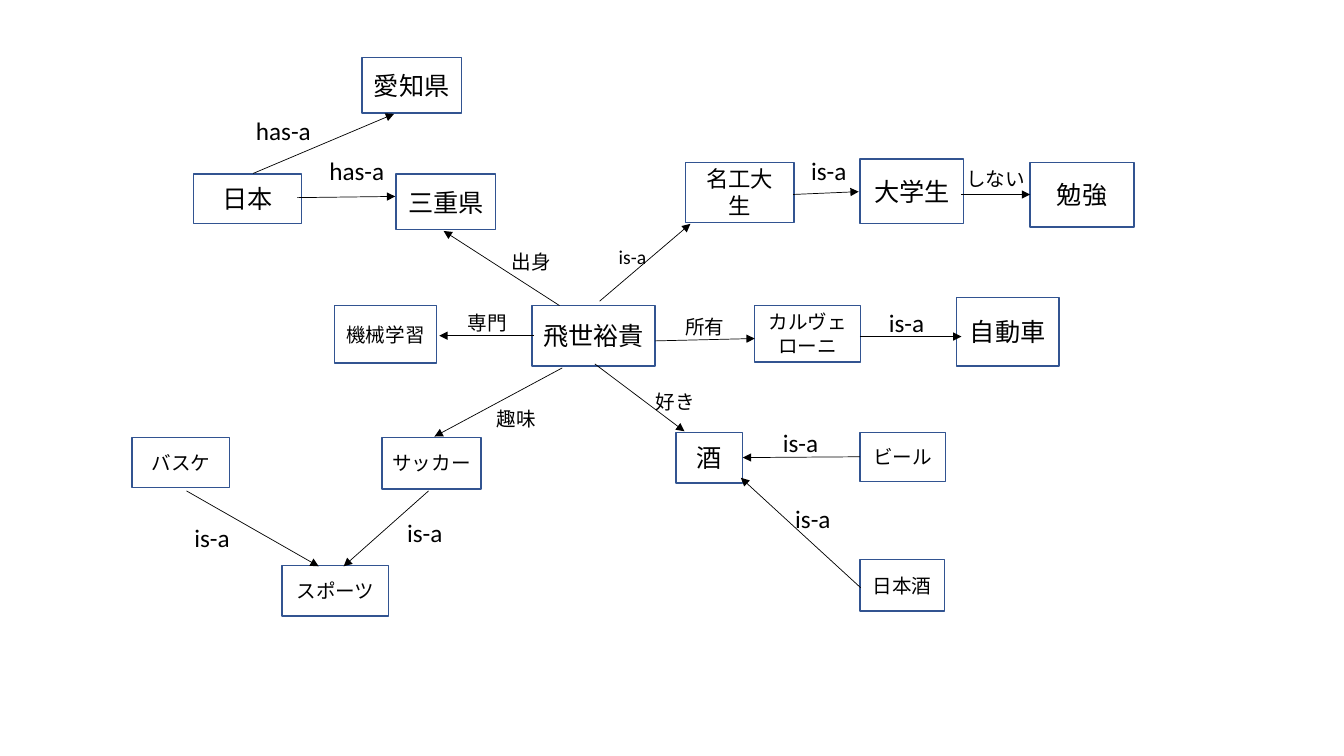
from lxml import etree
from pptx import Presentation
from pptx import util as u
from pptx.dml.color import RGBColor
from pptx.enum import shapes, text
from pptx.oxml.ns import qn

COLORS = {"ink": "000000", "border": "325491", "paper": "FFFFFF"}
FONT = "Calibri"

CONCEPTS = [
    ("飛世裕貴", 18, (13.41, 7.7, 3.1, 1.52)),
    ("名工大生", 16, (17.27, 4.09, 2.74, 1.52)),
    ("大学生", 18, (21.67, 4.01, 2.62, 1.63)),
    ("ビール", 14, (21.67, 10.9, 2.16, 1.24)),
    ("酒", 18, (17.04, 10.9, 1.68, 1.27)),
    ("機械学習", 14, (8.43, 7.7, 2.57, 1.45)),
    ("勉強", 18, (25.96, 4.09, 2.62, 1.63)),
    ("日本", 18, (4.88, 4.39, 2.72, 1.24)),
    ("日本酒", 14, (21.67, 14.1, 2.13, 1.3)),
    ("三重県", 18, (9.98, 4.39, 2.51, 1.4)),
    ("愛知県", 18, (9.12, 1.45, 2.51, 1.4)),
    ("サッカー", 14, (9.63, 11.02, 2.49, 1.3)),
    ("スポーツ", 14, (7.11, 14.25, 2.69, 1.27)),
    ("バスケ", 14, (3.33, 11.02, 2.46, 1.27)),
    ("カルヴェローニ", 14, (19.02, 7.7, 2.67, 1.42)),
    ("自動車", 18, (24.1, 7.49, 2.59, 1.73)),
]

RELATIONS = [
    ("所有", 14, (17.02, 7.8), (16.51, 8.59, 19.02, 8.53)),
    ("is-a", 18, (22.15, 7.62), (21.67, 8.48, 24.23, 8.48)),
    ("好き", 14, (16.28, 9.7), (14.99, 9.17, 17.25, 10.87)),
    ("is-a", 18, (19.79, 12.55), (21.69, 14.81, 18.67, 12.04)),
    ("is-a", 18, (19.48, 10.64), (21.67, 11.51, 18.72, 11.53)),
    ("is-a", 14, (15.34, 6.05), (15.11, 7.59, 17.4, 5.64)),
    ("is-a", 18, (20.19, 3.78), (19.99, 4.9, 21.64, 4.83)),
    ("しない", 14, (24.1, 4.09), (24.23, 4.9, 25.96, 4.9)),
    ("出身", 14, (12.65, 6.17), (14.1, 7.7, 11.18, 5.82)),
    ("has-a", 18, (6.2, 2.79), (6.38, 4.37, 9.93, 2.87)),
    ("has-a", 18, (8.05, 3.78), (7.49, 4.98, 9.96, 4.95)),
    ("専門", 14, (11.53, 7.72), (13.46, 8.46, 11.07, 8.46)),
    ("趣味", 14, (12.27, 10.13), (14.17, 9.27, 10.95, 11)),
    ("is-a", 18, (10.01, 12.9), (10.8, 12.37, 8.66, 14.27)),
    ("is-a", 18, (4.65, 13.03), (4.7, 12.37, 8.03, 14.27)),
]
LABEL_WIDTHS = {"has-a": 2.06, "しない": 2.18}
LABEL_HEIGHTS = {14: 0.86, 18: 1.02}


def color(key):
    return RGBColor.from_string(COLORS[key])


def lengths(values):
    return [u.Cm(value) for value in values]


def write(holder, wording, size, alignment):
    holder.text_frame.text = wording
    holder.text_frame.word_wrap = True
    paragraph = holder.text_frame.paragraphs[0]
    paragraph.alignment = alignment
    font = paragraph.runs[0].font
    font.name, font.size = FONT, u.Pt(size)
    font.color.rgb = color("ink")


def add_concept(slide, wording, size, box):
    concept = slide.shapes.add_shape(shapes.MSO_SHAPE.RECTANGLE, *lengths(box))
    concept.shadow.inherit = False
    concept.fill.solid()
    concept.fill.fore_color.rgb = color("paper")
    concept.line.color.rgb = color("border")
    concept.line.width = u.Pt(1)
    concept.text_frame.vertical_anchor = text.MSO_ANCHOR.MIDDLE
    write(concept, wording, size, text.PP_ALIGN.CENTER)


def add_arrow(slide, ends):
    arrow = slide.shapes.add_connector(shapes.MSO_CONNECTOR.STRAIGHT, *lengths(ends))
    arrow.line.color.rgb = color("ink")
    arrow.line.width = u.Pt(0.5)
    etree.SubElement(arrow.line._get_or_add_ln(), qn("a:tailEnd"), type="triangle")
    etree.SubElement(arrow._element.spPr, qn("a:effectLst"))


def add_label(slide, wording, size, corner):
    box = (*corner, LABEL_WIDTHS.get(wording, 1.6), LABEL_HEIGHTS[size])
    label = slide.shapes.add_textbox(*lengths(box))
    write(label, wording, size, text.PP_ALIGN.LEFT)
    label.text_frame.auto_size = text.MSO_AUTO_SIZE.SHAPE_TO_FIT_TEXT


deck = Presentation()
deck.slide_width, deck.slide_height = lengths((33.87, 19.05))
network = deck.slides.add_slide(deck.slide_layouts[6])

for concept in CONCEPTS:
    add_concept(network, *concept)
for *_, ends in RELATIONS:
    add_arrow(network, ends)
for wording, size, corner, _ in RELATIONS:
    add_label(network, wording, size, corner)

deck.save("out.pptx")
